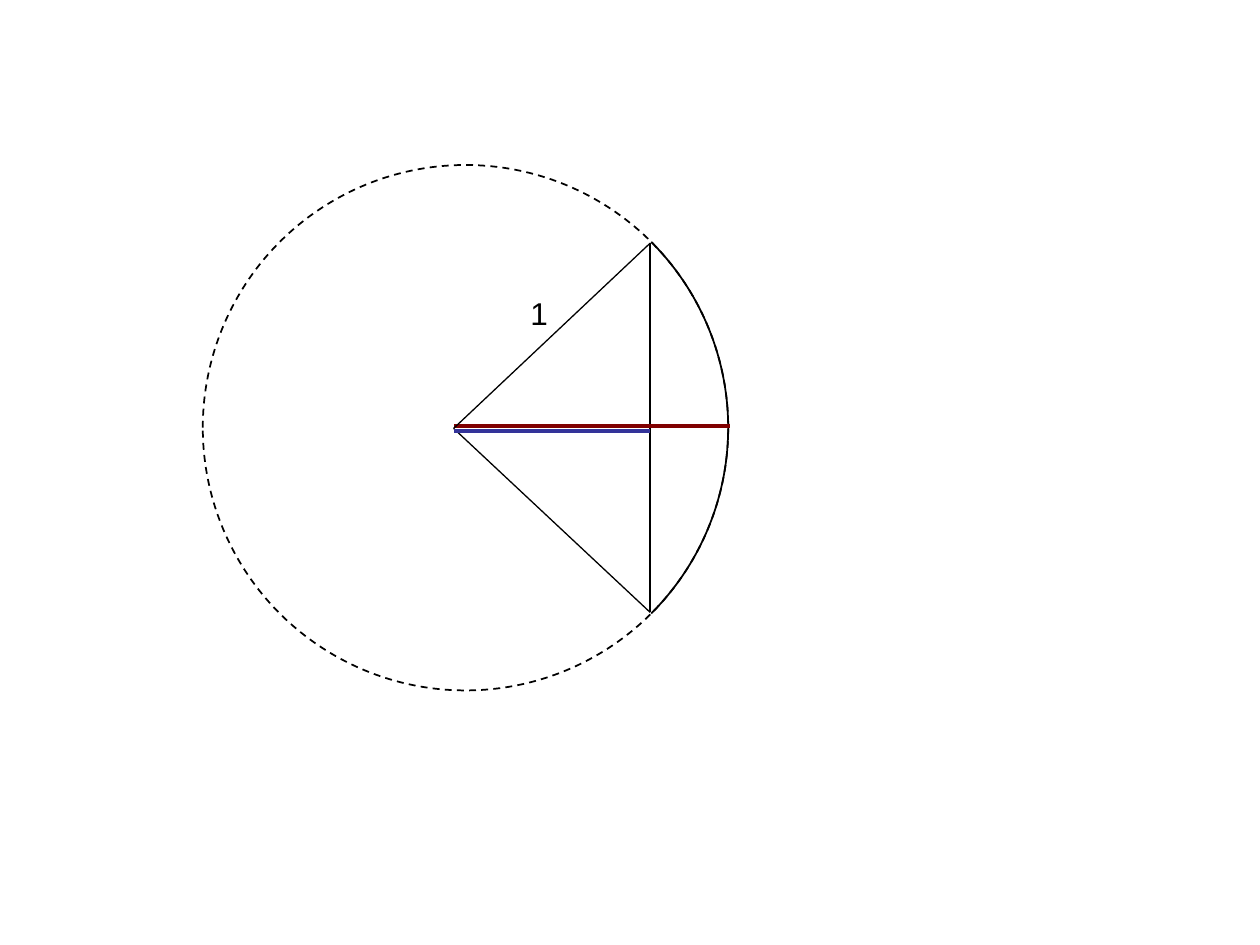
from lxml import etree
from pptx import Presentation
from pptx import util as u
from pptx.dml.color import RGBColor
from pptx.enum import dml, shapes, text
from pptx.oxml.ns import qn

THEME = {
    "ink": "000000", "radius": "800000", "cosine": "333399",
    "font": "Arial", "size": 18, "thin": 0.75, "normal": 1, "thick": 2,
}

# Content: circle frame (left, top, diameter) and the points of the sector
CIRCLE = (1.61, 1.31, 4.17)
APEX, UPPER, LOWER = (3.6, 3.4), (5.16, 1.93), (5.16, 4.86)
HALF_ANGLE = 45
CHORD = [(UPPER, LOWER, "ink", "normal")]
RADII = [
    ((5.79, 3.38), (APEX[0], 3.38), "radius", "thick"),
    (UPPER, APEX, "ink", "thin"),
    (LOWER, APEX, "ink", "thin"),
]
COSINE = [((UPPER[0], 3.42), (APEX[0], 3.42), "cosine", "thick")]
LABEL = ("1", (4.21, 2.33, 0.14, 0.3))


def inches(values):
    return [u.Inches(value) for value in values]


def set_format(target, values):
    for name, value in values.items():
        setattr(target, name, value)


def style_line(line, color, weight):
    line.color.rgb = RGBColor.from_string(THEME[color])
    line.width = u.Pt(THEME[weight])


def add_round(page, kind):
    left, top, size = CIRCLE
    shape = page.shapes.add_shape(kind, *inches((left, top, size, size)))
    shape.shadow.inherit = False
    shape.fill.background()
    style_line(shape.line, "ink", "normal")
    return shape


def add_lines(page, lines):
    for start, end, color, weight in lines:
        line = page.shapes.add_connector(
            shapes.MSO_CONNECTOR.STRAIGHT, *inches(start + end))
        style_line(line.line, color, weight)
        etree.SubElement(line._element.spPr, qn("a:effectLst"))


def add_label(page, wording, place):
    box = page.shapes.add_textbox(*inches(place))
    set_format(box.text_frame, {
        "margin_left": 0, "margin_top": 0, "margin_right": 0,
        "margin_bottom": 0, "word_wrap": False,
        "auto_size": text.MSO_AUTO_SIZE.SHAPE_TO_FIT_TEXT,
    })
    span = box.text_frame.paragraphs[0].add_run()
    span.text = wording
    set_format(span.font, {"name": THEME["font"], "size": u.Pt(THEME["size"])})
    span.font.color.rgb = RGBColor.from_string(THEME["ink"])


def main():
    deck = Presentation()
    deck.slide_width, deck.slide_height = inches((10, 7.5))
    page = deck.slides.add_slide(deck.slide_layouts[6])

    # Dashed circle and chord
    circle = add_round(page, shapes.MSO_SHAPE.OVAL)
    circle.line.dash_style = dml.MSO_LINE.DASH
    add_lines(page, CHORD)

    # Solid arc; adjustments count 100000 units of 1/60000 degree
    arc = add_round(page, shapes.MSO_SHAPE.ARC)
    for index, angle in enumerate((360 - HALF_ANGLE, HALF_ANGLE)):
        arc.adjustments[index] = angle * 0.6

    # Radii, their length, and the distance to the chord
    add_lines(page, RADII)
    add_label(page, *LABEL)
    add_lines(page, COSINE)

    deck.save("out.pptx")


if __name__ == "__main__":
    main()
